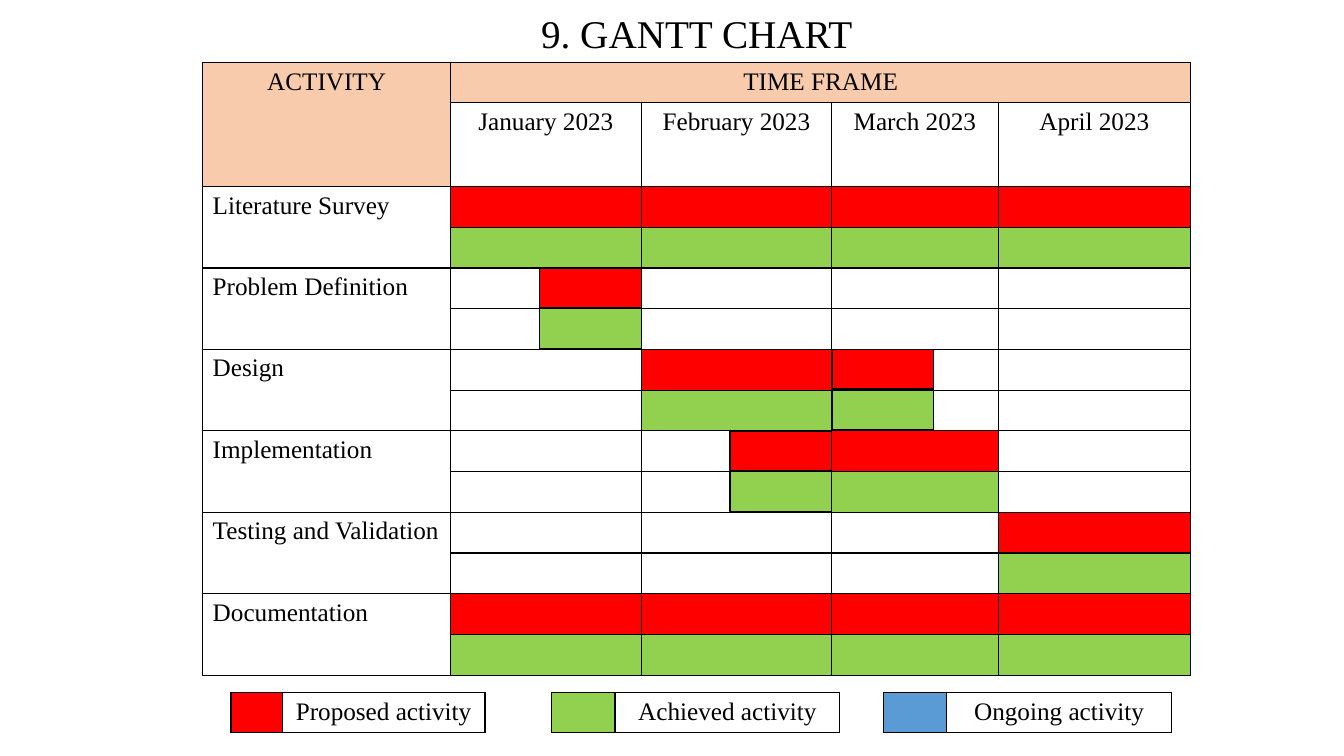
from collections import namedtuple
from dataclasses import dataclass
from itertools import accumulate

from lxml.etree import SubElement
from pptx import Presentation
from pptx.dml.color import RGBColor
from pptx.enum.shapes import MSO_SHAPE as Shape
from pptx.enum.text import PP_ALIGN as Align
from pptx.oxml.ns import qn
from pptx.util import Inches, Pt

# The slide is a grid of 1333 columns and 750 rows.
COLUMNS, ROWS = 1333, 750
CELL = Inches(13.33) / COLUMNS

Box = namedtuple("Box", "left top width height")
Activity = namedtuple("Activity", "name full_months half_month", defaults=[None])


@dataclass(frozen=True)
class Theme:
    font: str = "Times New Roman"
    title_size: int = 28
    body_size: int = 18
    text: str = "000000"
    line: str = "000000"
    border_width: float = 0.96
    bar_width: float = 1
    header: str = "F8CBAD"
    proposed: str = "FF0000"
    achieved: str = "92D050"
    ongoing: str = "5B9BD5"


THEME = Theme()

MONTHS = ["January 2023", "February 2023", "March 2023", "April 2023"]
# A half month is a month index and the share of the month left free before the bar.
ACTIVITIES = [
    Activity("Literature Survey", range(4)),
    Activity("Problem Definition", [], (0, 1)),
    Activity("Design", [1], (2, 0)),
    Activity("Implementation", [2], (1, 1)),
    Activity("Testing and Validation", [3]),
    Activity("Documentation", range(4)),
]
LEGEND = [
    ("Proposed activity", THEME.proposed, Box(229, 687, 252, 40), 51),
    ("Achieved activity", THEME.achieved, Box(547, 687, 286, 40), 63),
    ("Ongoing activity", THEME.ongoing, Box(876, 687, 286, 40), 63),
]
GANTT_COLUMNS = [246, 189, 189, 165, 191]
HEADER_ROWS = [39, 83]
HALF_MONTH = 101


def emu(units):
    return round(units * CELL)


def place(box):
    return [emu(length) for length in box]


def write(frame, text, size, align):
    paragraph = frame.paragraphs[0]
    paragraph.alignment = align
    run = paragraph.add_run()
    run.text = text
    run.font.color.rgb = RGBColor.from_string(THEME.text)
    for key, value in {"name": THEME.font, "size": Pt(size)}.items():
        setattr(run.font, key, value)


def paint(part, color):
    part.fill.solid()
    part.fill.fore_color.rgb = RGBColor.from_string(color)


def add_borders(cell):
    properties = cell._tc.get_or_add_tcPr()
    for side in ("lnL", "lnR", "lnT", "lnB"):
        line = SubElement(properties, qn(f"a:{side}"), w=str(Pt(THEME.border_width)))
        fill = SubElement(line, qn("a:solidFill"))
        SubElement(fill, qn("a:srgbClr"), val=THEME.line)


def add_grid(slide, box, widths, heights):
    """Add an unfilled table with thin borders and no style bands."""
    table = slide.shapes.add_table(len(heights), len(widths), *place(box)).table
    table.first_row = table.horz_banding = False
    for column, width in zip(table.columns, widths):
        column.width = emu(width)
    for row, height in zip(table.rows, heights):
        row.height = emu(height)
    for cell in table.iter_cells():
        cell.margin_top = cell.margin_bottom = 0
        add_borders(cell)
        cell.fill.background()
    return table


def label(cell, text, align=Align.CENTER):
    cell.margin_top = cell.margin_bottom = Inches(0.05)
    write(cell.text_frame, text, THEME.body_size, align)


def add_title(slide, box):
    title = slide.shapes.add_textbox(*place(box))
    title.text_frame.word_wrap = True
    write(title.text_frame, "9. GANTT CHART", THEME.title_size, Align.CENTER)


def add_half_bar(slide, box, color):
    bar = slide.shapes.add_shape(Shape.RECTANGLE, *place(box))
    bar.shadow.inherit = False
    paint(bar, color)
    bar.line.color.rgb = RGBColor.from_string(THEME.line)
    bar.line.width = Pt(THEME.bar_width)


def fill_header(table):
    table.cell(0, 0).merge(table.cell(1, 0))
    table.cell(0, 1).merge(table.cell(0, len(MONTHS)))
    for column, heading in enumerate(["ACTIVITY", "TIME FRAME"]):
        label(table.cell(0, column), heading)
        paint(table.cell(0, column), THEME.header)
    for column, month in enumerate(MONTHS, 1):
        label(table.cell(1, column), month)


def add_gantt(slide, box):
    row_count = 2 * len(ACTIVITIES)
    row_height = (box.height - sum(HEADER_ROWS)) / row_count
    heights = HEADER_ROWS + [row_height] * row_count
    table = add_grid(slide, box, GANTT_COLUMNS, heights)
    fill_header(table)
    lefts = list(accumulate(GANTT_COLUMNS, initial=box.left))
    tops = list(accumulate(heights, initial=box.top))
    for index, activity in enumerate(ACTIVITIES):
        first = len(HEADER_ROWS) + 2 * index
        table.cell(first, 0).merge(table.cell(first + 1, 0))
        label(table.cell(first, 0), activity.name, Align.LEFT)
        for row, color in enumerate([THEME.proposed, THEME.achieved], first):
            for month in activity.full_months:
                paint(table.cell(row, month + 1), color)
            if activity.half_month:
                month, free_before = activity.half_month
                free = GANTT_COLUMNS[month + 1] - HALF_MONTH
                left = lefts[month + 1] + free * free_before
                bar = Box(left, tops[row] + 1, HALF_MONTH, row_height - 1)
                add_half_bar(slide, bar, color)


def add_legend_entry(slide, text, color, box, swatch_width):
    widths = [swatch_width, box.width - swatch_width]
    entry = add_grid(slide, box, widths, [box.height])
    paint(entry.cell(0, 0), color)
    label(entry.cell(0, 1), text)


def main():
    deck = Presentation()
    deck.slide_width, deck.slide_height = emu(COLUMNS), emu(ROWS)
    slide = deck.slides.add_slide(deck.slide_layouts[6])
    add_title(slide, Box(382, 4, 618, 57))
    add_gantt(slide, Box(201, 62, 980, 607))
    for entry in LEGEND:
        add_legend_entry(slide, *entry)
    deck.save("out.pptx")


if __name__ == "__main__":
    main()
